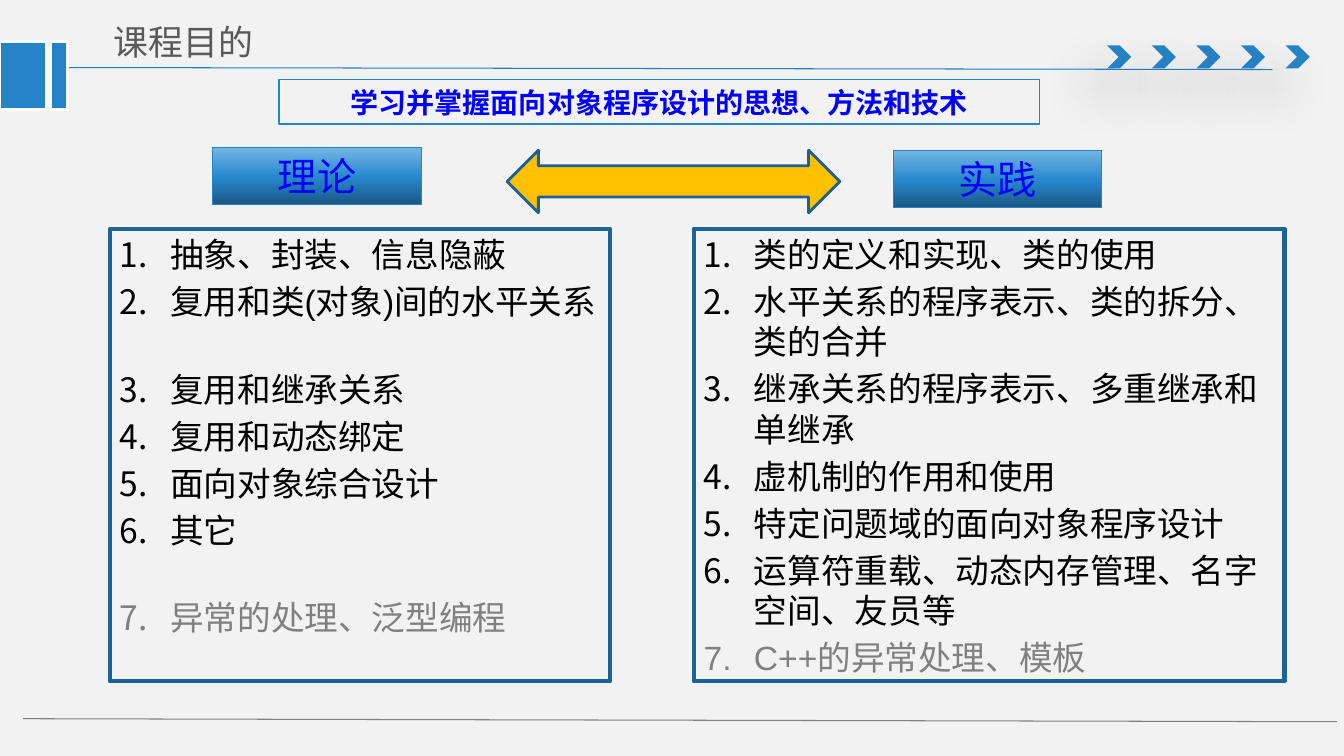
import copy

import pptx
import pptx.dml.color
import pptx.enum.shapes
import pptx.enum.text
import pptx.oxml
import pptx.oxml.ns
import pptx.util
from lxml import etree

Inches = pptx.util.Inches
Pt = pptx.util.Pt
SHAPES = pptx.enum.shapes.MSO_SHAPE
ALIGN = pptx.enum.text.PP_ALIGN
ANCHOR = pptx.enum.text.MSO_ANCHOR
qn = pptx.oxml.ns.qn

CHINESE_FONT = "Noto Sans CJK SC"
BLUE = "2683C6"
DARK_BLUE = "1D6294"
TEXT_BLUE = "0000FF"
GREY = "808080"
LINE_GAP = 29

THEORY = [
    "抽象、封装、信息隐蔽",
    "复用和类(对象)间的水平关系",
    "复用和继承关系",
    "复用和动态绑定",
    "面向对象综合设计",
    "其它",
    "异常的处理、泛型编程",
]
PRACTICE = [
    "类的定义和实现、类的使用",
    "水平关系的程序表示、类的拆分、类的合并",
    "继承关系的程序表示、多重继承和单继承",
    "虚机制的作用和使用",
    "特定问题域的面向对象程序设计",
    "运算符重载、动态内存管理、名字空间、友员等",
    "C++的异常处理、模板",
]


def color(value):
    return pptx.dml.color.RGBColor.from_string(value)


def add_box(slide, kind, box, fill=None, line=None, width=1):
    shape = slide.shapes.add_shape(kind, *map(Inches, box))
    shape.shadow.inherit = False
    if fill:
        shape.fill.solid()
        shape.fill.fore_color.rgb = color(fill)
    else:
        shape.fill.background()
    if line:
        shape.line.color.rgb = color(line)
        shape.line.width = Pt(width)
    else:
        shape.line.fill.background()
    return shape


def add_rule(slide, start, end, line):
    connector = slide.shapes.add_connector(
        pptx.enum.shapes.MSO_CONNECTOR.STRAIGHT, *map(Inches, start + end))
    connector.line.color.rgb = color(line)
    connector.line.width = Pt(0.75)
    etree.SubElement(connector._element.spPr, qn("a:effectLst"))


def format_paragraph(paragraph, size, text_color, font=CHINESE_FONT, bold=False):
    for run in paragraph.runs:
        run.font.size = Pt(size)
        run.font.name = font
        run.font.bold = bold
        run.font.color.rgb = color(text_color)
        east_asian = etree.SubElement(run.font._element, qn("a:ea"))
        east_asian.set("typeface", CHINESE_FONT)


def add_label(shape, text, size, bold=False):
    frame = shape.text_frame
    frame.text = text
    frame.word_wrap = True
    frame.vertical_anchor = ANCHOR.MIDDLE
    frame.paragraphs[0].alignment = ALIGN.CENTER
    format_paragraph(frame.paragraphs[0], size, TEXT_BLUE, bold=bold)


def add_soft_shadow(shape):
    effects = shape._element.spPr.find(qn("a:effectLst"))
    shadow = etree.SubElement(
        effects, qn("a:outerShdw"), blurRad=str(Pt(36)), dist=str(Pt(24)),
        dir=str(130 * 60000), algn="ctr", rotWithShape="0")
    black = etree.SubElement(shadow, qn("a:srgbClr"), val="000000")
    etree.SubElement(black, qn("a:alpha"), val="38000")


def add_chevrons(slide, box, count=5):
    left, top, width, height = box
    chevron_width = 0.24
    pitch = (width - chevron_width) / (count - 1)
    for index in range(count):
        chevron = add_box(slide, SHAPES.CHEVRON,
                          (left + index * pitch, top, chevron_width, height), BLUE)
        add_soft_shadow(chevron)


def add_title(slide, box, text):
    frame = slide.shapes.add_textbox(*map(Inches, box)).text_frame
    frame.text = text
    frame.word_wrap = True
    frame.vertical_anchor = ANCHOR.MIDDLE
    frame.margin_left = frame.margin_right = Inches(0.14)
    frame.margin_top = frame.margin_bottom = Inches(0.07)
    format_paragraph(frame.paragraphs[0], 24.9, "595959")


def add_frame(slide, box):
    left, top, width, height = box
    add_rule(slide, (left + 0.53, top + 0.67), (left + 12.62, top + 0.69), "2181C6")
    add_chevrons(slide, (left + 10.98, top + 0.45, 2.01, 0.23))
    add_rule(slide, (left + 0.23, top + height - 0.37),
             (left + width - 0.07, top + height - 0.34), GREY)
    for offset, block_width in ((0, 0.46), (0.5, 0.17)):
        add_box(slide, SHAPES.RECTANGLE,
                (left + offset, top + 0.41, block_width, 0.68), BLUE, "FFFFFF", 2)
    add_title(slide, (left + 0.99, top + 0.14, 4.63, 0.55), "课程目的")


def add_heading(slide, box, text):
    shape = add_box(slide, SHAPES.RECTANGLE, box, line=BLUE, width=0.75)
    shape.fill.gradient()
    shape.fill.gradient_angle = 90
    stop_list = shape._element.spPr.find(qn("a:gradFill")).find(qn("a:gsLst"))
    stop_list.append(copy.deepcopy(stop_list[-1]))
    stops = ((0, "195885"), (0.48, "2788CD"), (1, "75B6E5"))
    for stop, (position, value) in zip(shape.fill.gradient_stops, stops):
        stop.position = position
        stop.color.rgb = color(value)
    add_label(shape, text, 28)


def add_numbered_list(slide, box, items, gaps_after=()):
    shape = add_box(slide, SHAPES.RECTANGLE, box, line=DARK_BLUE, width=3)
    frame = shape.text_frame
    frame.word_wrap = True
    frame.vertical_anchor = ANCHOR.TOP
    for index, item in enumerate(items):
        paragraph = frame.add_paragraph() if index else frame.paragraphs[0]
        paragraph.text = item
        paragraph.alignment = ALIGN.LEFT
        if index:
            paragraph.space_before = Pt(4.8)
        if index in gaps_after:
            paragraph.space_after = Pt(LINE_GAP)
        properties = paragraph._p.get_or_add_pPr()
        properties.set("marL", str(Inches(0.5)))
        properties.set("indent", str(-Inches(0.5)))
        etree.SubElement(properties, qn("a:buFont"), typeface="+mj-lt")
        etree.SubElement(properties, qn("a:buAutoNum"), type="arabicPeriod")
        last = index == len(items) - 1
        format_paragraph(paragraph, 24, GREY if last else "000000", "Arial")


def add_comparison(slide, box):
    left, top, width, height = box
    list_top, list_height = top + 1.48, height - 1.48
    add_numbered_list(slide, (left, list_top, 4.96, list_height), THEORY, (1, 5))
    add_numbered_list(slide, (left + width - 5.86, list_top, 5.86, list_height), PRACTICE)
    add_heading(slide, (left + 1.02, top + 0.67, 2.07, 0.57), "理论")
    add_heading(slide, (left + 7.77, top + 0.7, 2.07, 0.57), "实践")
    add_box(slide, SHAPES.LEFT_RIGHT_ARROW,
            (left + 3.94, top + 0.7, 3.3, 0.62), "FFC000", "1C6192", 2)
    banner = add_box(slide, SHAPES.RECTANGLE,
                     (left + 1.68, top, 7.54, 0.44), line=BLUE, width=1.25)
    add_label(banner, "学习并掌握面向对象程序设计的思想、方法和技术", 20, True)


def main():
    presentation = pptx.Presentation()
    presentation.slide_width = Inches(13.33)
    presentation.slide_height = Inches(7.5)
    slide = presentation.slides.add_slide(presentation.slide_layouts[6])
    slide.background.fill.solid()
    slide.background.fill.fore_color.rgb = color("F2F2F2")
    add_frame(slide, (0, 0, 13.33, 7.5))
    add_comparison(slide, (1.09, 0.79, 11.65, 5.97))
    presentation.save("out.pptx")


if __name__ == "__main__":
    main()
